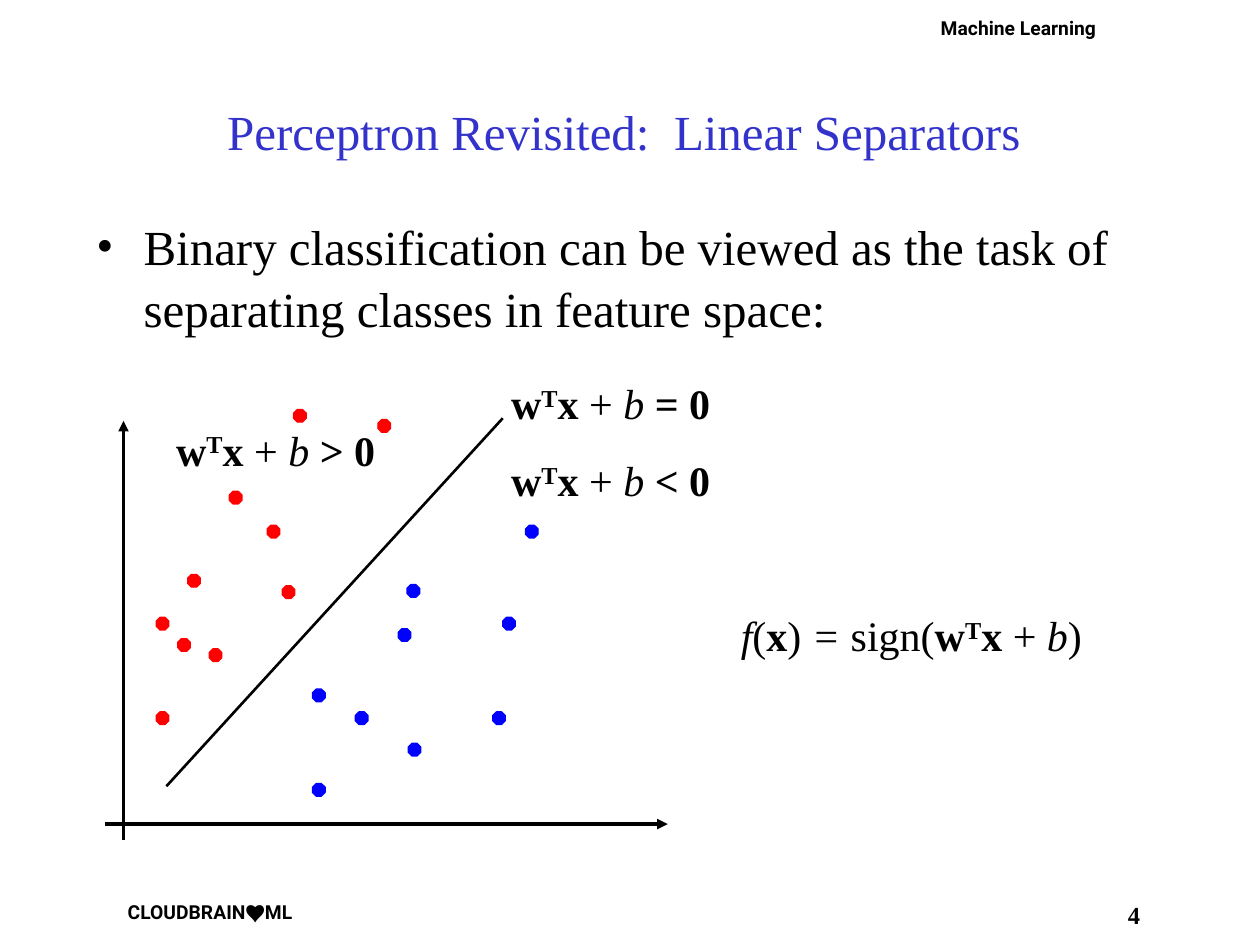
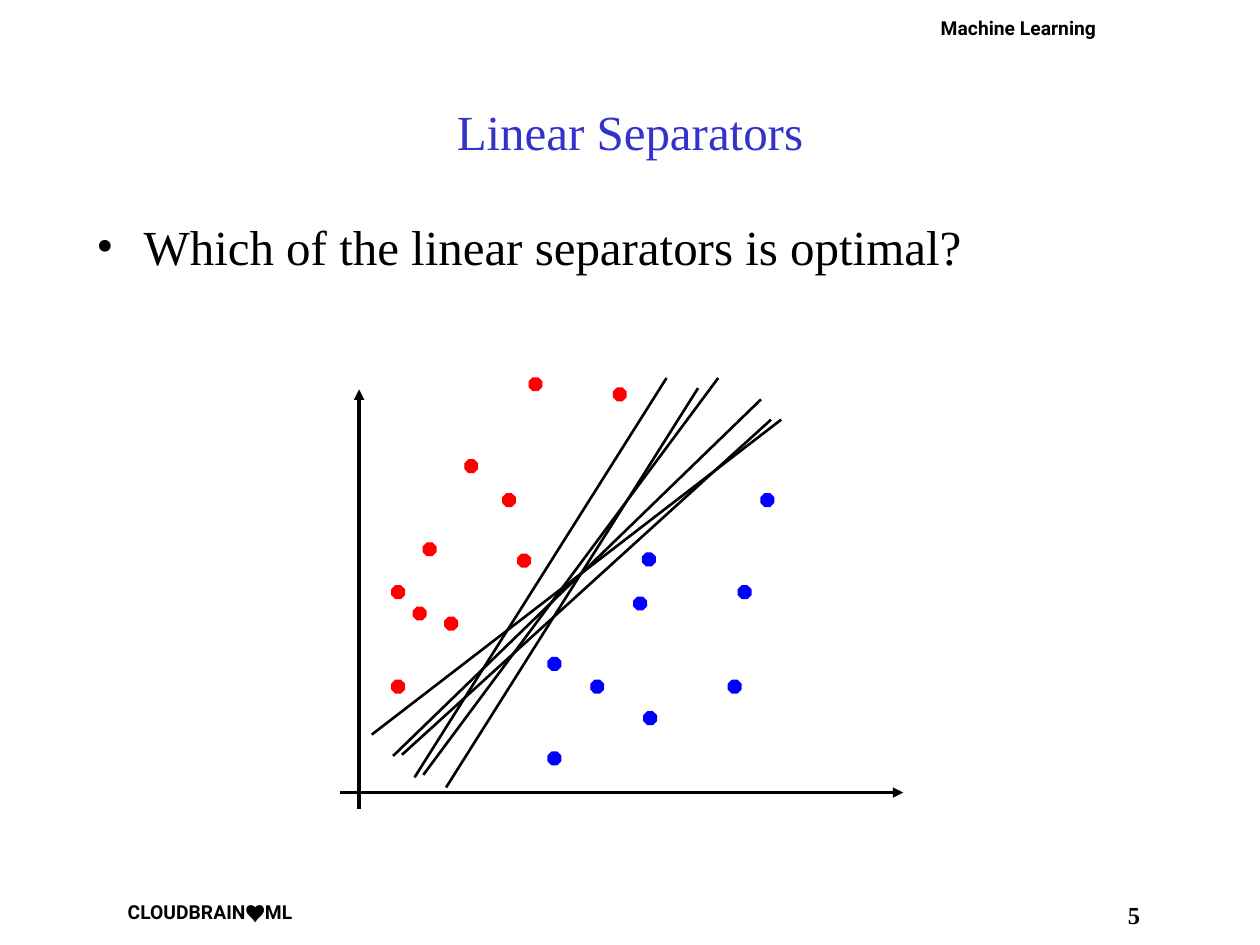
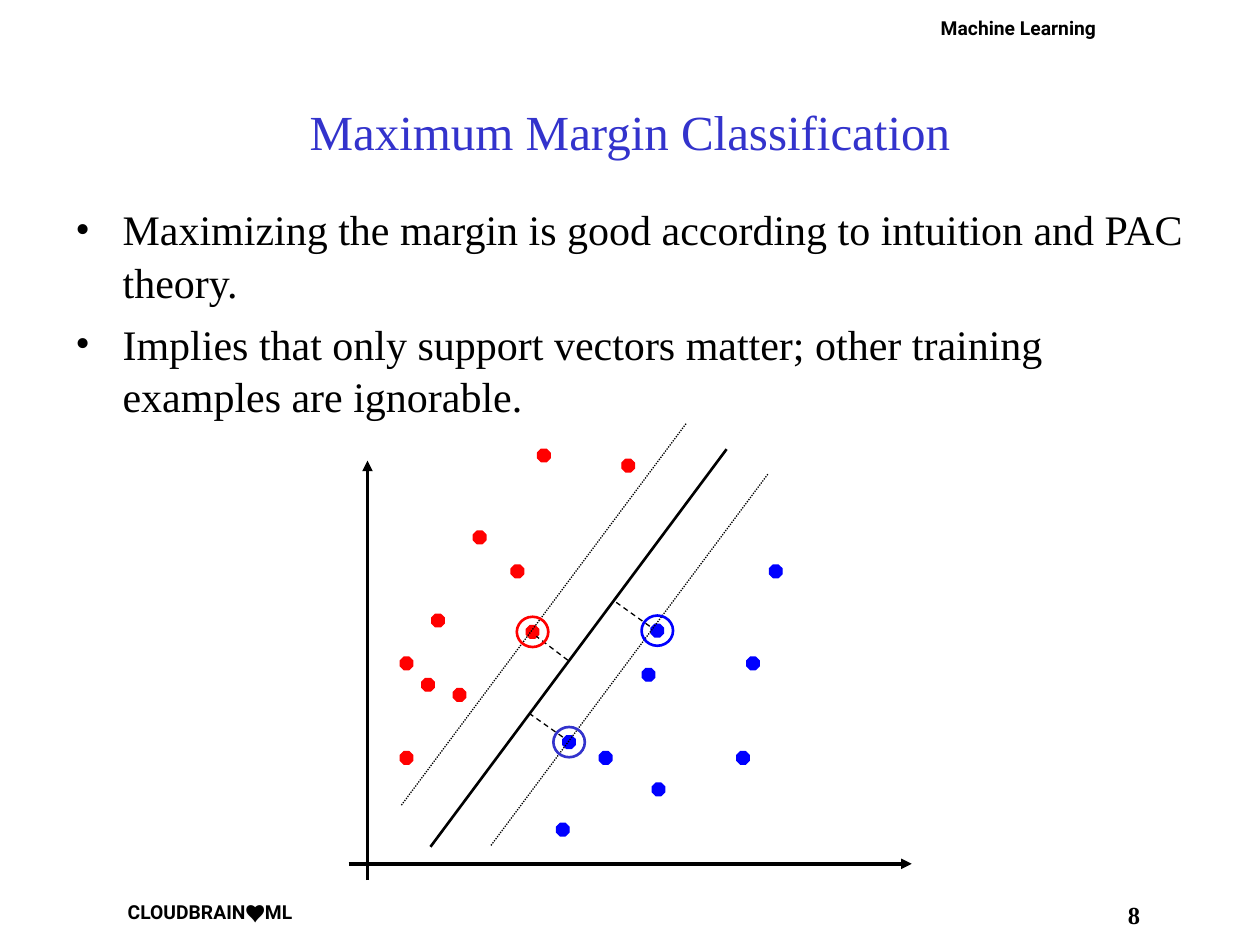
from lxml import etree
from pptx import Presentation
from pptx.dml.color import RGBColor
from pptx.enum import dml, shapes, text
from pptx.oxml import ns
from pptx.util import Pt

SERIF, SANS = "Times New Roman", "Roboto"
BLACK, WHITE, RED, BLUE, INDIGO = "000000", "FFFFFF", "FF0000", "0000FF", "3333CC"
LEFT, CENTER = text.PP_ALIGN.LEFT, text.PP_ALIGN.CENTER
DASH, DOTS = dml.MSO_LINE.DASH, dml.MSO_LINE.ROUND_DOT

DOT = 7.2
RING = 18, 17.3
REDS = [(92.9, 66.2), (47.5, 94.3), (59.8, 136.8), (29.5, 172.8), (71.3, 46.8),
        (29.5, 118.8), (41.8, 131), (101.5, 100.8), (108, 0), (156.2, 5.8)]
BLUES = [(172.8, 100.1), (143.3, 172.8), (221.8, 172.8), (118.8, 213.8), (167.8, 125.3),
         (173.5, 190.8), (227.5, 118.8), (240.5, 66.2)]
NEAR = 118.8, 159.8
SUPPORT = 122.4, 163.8

SCORE = [("w", "b"), ("T", "bs"), ("x ", "b"), ("+ ", ""), ("b", "i")]
RULE = [("f", "i"), ("(", ""), ("x", "b"), (")", ""), (" = ", "i"), ("sign(", ""),
        *SCORE, (")", "")]

CUTS = [((35.3, 215.3), (246.2, 23.8)), ((47.5, 226.8), (216, 0)),
        ((18, 203.8), (252, 23.8)), ((60.5, 234), (204.5, 5.8)),
        ((42.5, 228.2), (186.5, 0)), ((30.2, 216), (240.5, 12.2))]
GAPS = [((172.1, 101.2), (151.9, 86.8)), ((122.4, 164.5), (103, 150.8)),
        ((125.3, 120.6), (107.3, 106.9))]
EDGES = [((81.4, 226.4), (239.8, 14)), ((30.2, 203.4), (193, -14.8))]


def color(code):
    return RGBColor.from_string(code)


def add(node, tag, **attrs):
    return etree.SubElement(node, ns.qn(tag), attrs)


def write(frame, paras, size=24, font=SERIF, ink=BLACK, bold=False, align=LEFT,
          inset=(7.2, 3.6), anchor=text.MSO_ANCHOR.TOP, bullet=False):
    frame.word_wrap = True
    frame.auto_size = text.MSO_AUTO_SIZE.NONE
    frame.vertical_anchor = anchor
    frame.margin_left = frame.margin_right = Pt(inset[0])
    frame.margin_top = frame.margin_bottom = Pt(inset[1])
    for n, runs in enumerate(paras):
        para = frame.add_paragraph() if n else frame.paragraphs[0]
        para.alignment = align
        if bullet:
            para.line_spacing = 1.05
            para.space_before = Pt(size * 0.2 if n else 0)
            props = para._p.get_or_add_pPr()
            props.set("marL", str(Pt(27)))
            props.set("indent", str(Pt(-27)))
            add(props, "a:buFont", typeface=font)
            add(props, "a:buChar", char="•")
        for words, style in [(runs, "")] if isinstance(runs, str) else runs:
            run = para.add_run()
            run.text = words
            face = run.font
            face.name, face.size = font, Pt(size)
            face.color.rgb = color(ink)
            face.bold = bold or "b" in style
            face.italic = "i" in style
            if "s" in style:
                run._r.get_or_add_rPr().set("baseline", "30000")


def label(slide, box, paras, fill=None, **fmt):
    shape = slide.shapes.add_textbox(*map(Pt, box))
    if fill:
        shape.fill.solid()
        shape.fill.fore_color.rgb = color(fill)
    write(shape.text_frame, paras, **fmt)


def line(slide, start, end, width=1.5, dash=None, arrow=False):
    link = slide.shapes.add_connector(shapes.MSO_CONNECTOR.STRAIGHT,
                                      *map(Pt, (*start, *end)))
    link.line.color.rgb = color(BLACK)
    link.line.width = Pt(width)
    if dash:
        link.line.dash_style = dash
    if arrow:
        add(link.line._get_or_add_ln(), "a:tailEnd", type="triangle")
    add(link._element.spPr, "a:effectLst")


def mark(slide, kind, box, ink, width=0.75, solid=True):
    shape = slide.shapes.add_shape(kind, *map(Pt, box))
    shape.shadow.inherit = False
    if solid:
        shape.fill.solid()
        shape.fill.fore_color.rgb = color(ink)
    else:
        shape.fill.background()
    shape.line.color.rgb = color(ink)
    shape.line.width = Pt(width)


def page(deck, number, title, points, size=28, left=48, top=118.8):
    slide = deck.slides.add_slide(deck.slide_layouts[5])
    head = slide.shapes.title
    head.left, head.top, head.width, head.height = map(Pt, (54, 30, 612, 90))
    write(head.text_frame, [title], size=28, ink=INDIGO, align=CENTER,
          anchor=text.MSO_ANCHOR.MIDDLE)
    label(slide, (636, 514, 24, 26), [str(number)], WHITE, size=14, bold=True,
          align=CENTER, inset=(0, 0))
    for box, words in [((36, 511, 168, 20), "CLOUDBRAIN♥ML"),
                       ((510, 6, 144, 20), "Machine Learning")]:
        label(slide, box, [words], WHITE, size=11, font=SANS, bold=True,
              align=CENTER, inset=(3.6, 3.6))
    label(slide, (left, top, 648, 396), points, size=size, bullet=True)
    return slide


def plot(slide, left, top, lines, near=NEAR, rings=()):
    def place(x, y):
        return left + x, top + y

    line(slide, place(10.8, 246.2), place(10.8, 6.5), 2, arrow=True)
    line(slide, place(0, 236.9), place(321.8, 236.9), 2, arrow=True)
    for ink, dots in [(RED, REDS), (BLUE, BLUES + [near])]:
        for dot in dots:
            mark(slide, shapes.MSO_SHAPE.OCTAGON, (*place(*dot), DOT, DOT), ink)
    for ends, width, dash in lines:
        line(slide, place(*ends[0]), place(*ends[1]), width, dash)
    for (x, y), ink in rings:
        wide, high = RING
        spot = place(x + (DOT - wide) / 2, y + (DOT - high) / 2)
        mark(slide, shapes.MSO_SHAPE.OVAL, (*spot, wide, high), ink, 1.5, False)


def main():
    deck = Presentation()
    deck.slide_width, deck.slide_height = Pt(720), Pt(540)

    slide = page(deck, 4, "Perceptron Revisited:  Linear Separators ", [
        "Binary classification can be viewed as the task of separating classes in feature space:"])
    plot(slide, 59.8, 234, [(((35.3, 215.3), (227.5, 5)), 1.5, None)])
    for x, y, sign in [(285, 212.4, "="), (285, 256.3, "<"), (93.6, 239, ">")]:
        label(slide, (x, y, 210, 36), [SCORE + [(f" {sign} 0", "b")]])
    label(slide, (416.2, 344.9, 231, 36), [RULE])

    slide = page(deck, 5, "Linear Separators",
                 ["Which of the linear separators is optimal?"])
    plot(slide, 194.4, 216, [(cut, 1.5, None) for cut in CUTS])

    slide = page(deck, 8, "Maximum Margin Classification", [
        "Maximizing the margin is good according to intuition and PAC theory.",
        "Implies that only support vectors matter; other training examples are ignorable."],
        size=24, left=36, top=111.6)
    plot(slide, 199.2, 256.7,
         [(((46.8, 227.2), (216, 0)), 1.5, None)]
         + [(gap, 0.75, DASH) for gap in GAPS]
         + [(edge, 0.75, DOTS) for edge in EDGES],
         SUPPORT, [(REDS[7], RED), (SUPPORT, INDIGO), (BLUES[0], BLUE)])

    deck.save("out.pptx")


if __name__ == "__main__":
    main()
